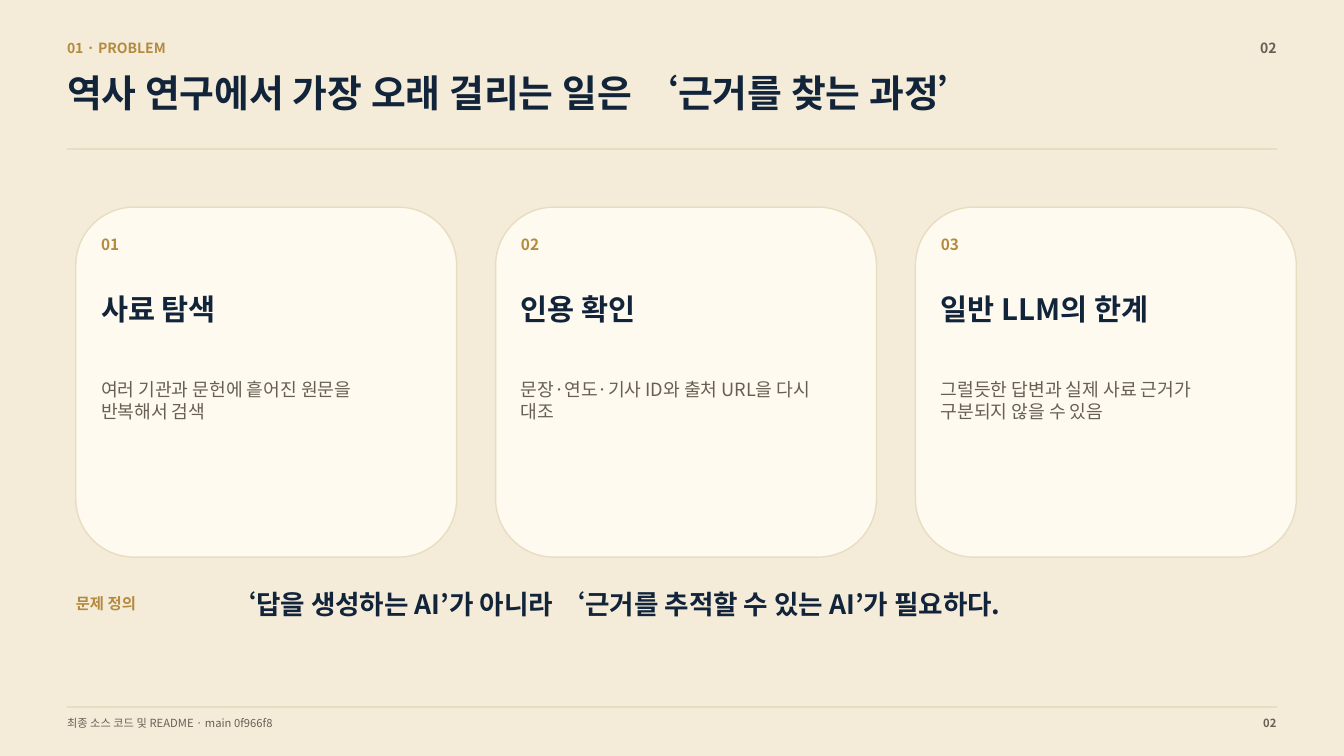
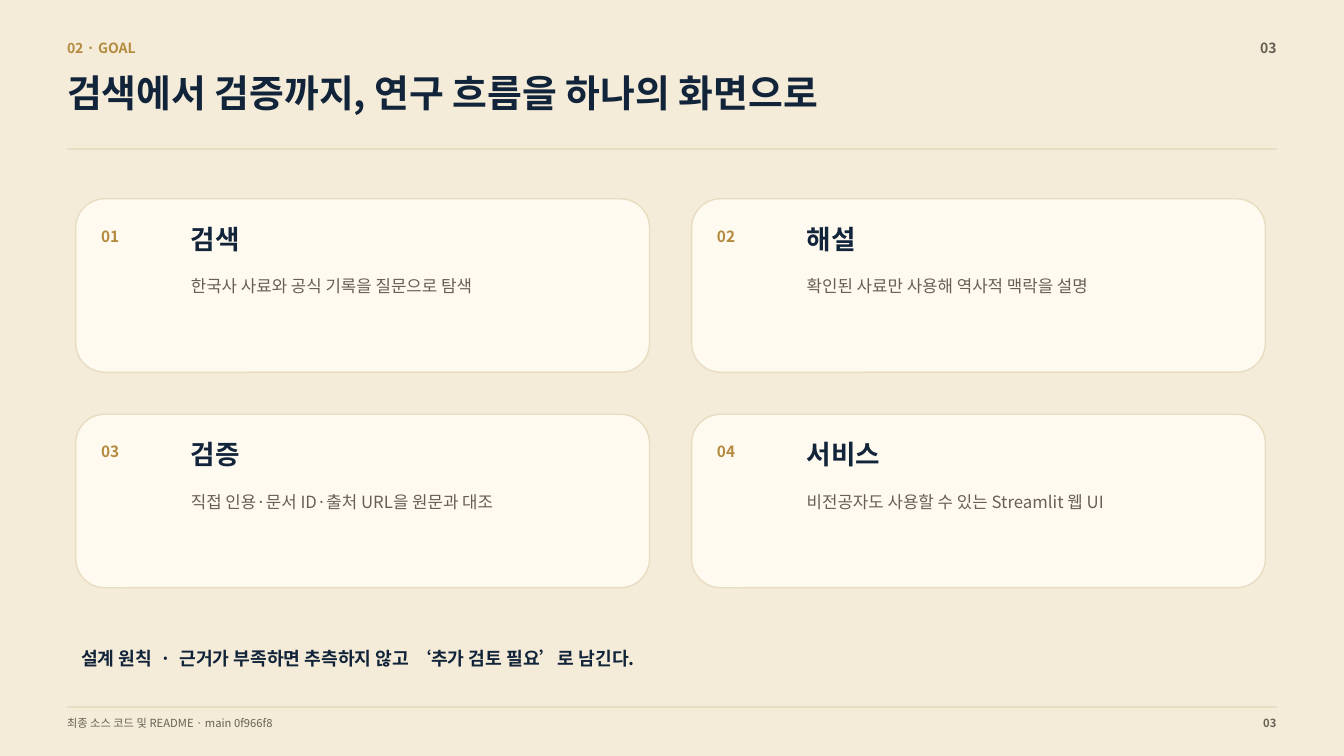
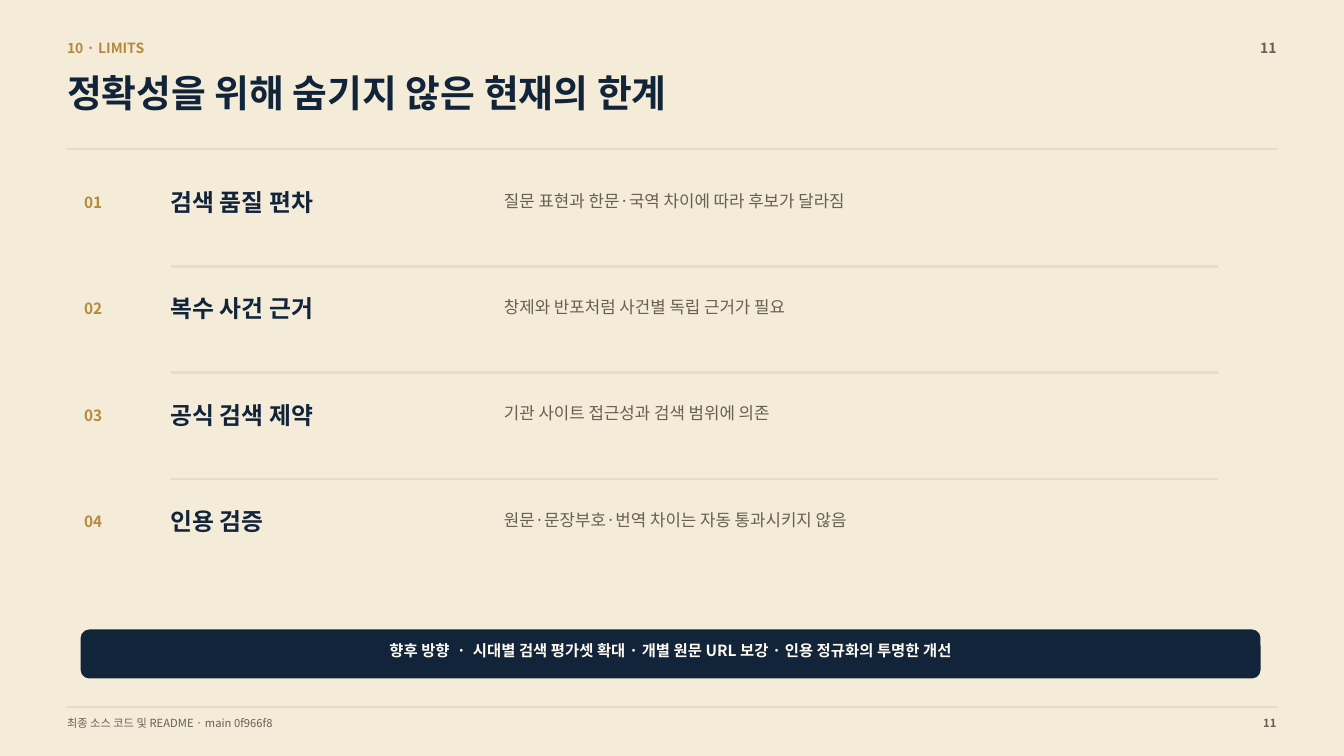
from lxml.etree import SubElement
from pptx import Presentation
from pptx.dml.color import RGBColor
from pptx.enum.shapes import MSO_CONNECTOR, MSO_SHAPE
from pptx.enum.text import PP_ALIGN
from pptx.oxml.ns import qn
from pptx.util import Cm, Pt

FONT = "Noto Sans CJK KR"
PAPER = RGBColor(0xF4, 0xEC, 0xD9)
IVORY = RGBColor(0xFF, 0xFA, 0xF0)
SAND = RGBColor(0xE8, 0xDC, 0xC1)
GOLD = RGBColor(0xB3, 0x8A, 0x3E)
NAVY = RGBColor(0x12, 0x24, 0x3A)
GRAY = RGBColor(0x67, 0x5F, 0x53)

MARGIN = 1.69
CONTENT_WIDTH = 30.48
CARD_LEFT = 1.91
CARD_INSET = 0.64
FOOTER = "최종 소스 코드 및 README · main 0f966f8"

PROBLEMS = [
    ("사료 탐색", "여러 기관과 문헌에 흩어진 원문을 반복해서 검색"),
    ("인용 확인", "문장·연도·기사 ID와 출처 URL을 다시 대조"),
    ("일반 LLM의 한계", "그럴듯한 답변과 실제 사료 근거가 구분되지 않을 수 있음"),
]
GOALS = [
    ("검색", "한국사 사료와 공식 기록을 질문으로 탐색"),
    ("해설", "확인된 사료만 사용해 역사적 맥락을 설명"),
    ("검증", "직접 인용·문서 ID·출처 URL을 원문과 대조"),
    ("서비스", "비전공자도 사용할 수 있는 Streamlit 웹 UI"),
]
LIMITS = [
    ("검색 품질 편차", "질문 표현과 한문·국역 차이에 따라 후보가 달라짐"),
    ("복수 사건 근거", "창제와 반포처럼 사건별 독립 근거가 필요"),
    ("공식 검색 제약", "기관 사이트 접근성과 검색 범위에 의존"),
    ("인용 검증", "원문·문장부호·번역 차이는 자동 통과시키지 않음"),
]


def add_text(slide, text, left, top, width, height, *, size, color=NAVY,
             bold=True, align=PP_ALIGN.LEFT):
    frame = slide.shapes.add_textbox(Cm(left), Cm(top), Cm(width), Cm(height)).text_frame
    frame.word_wrap = True
    frame.margin_left = frame.margin_right = frame.margin_top = frame.margin_bottom = 0
    paragraph = frame.paragraphs[0]
    paragraph.alignment = align
    run = paragraph.add_run()
    run.text = text
    run.font.name = FONT
    run.font.size = Pt(size)
    run.font.bold = bold
    run.font.color.rgb = color
    SubElement(run.font._element, qn("a:ea")).set("typeface", FONT)


def add_rule(slide, left, top, width):
    rule = slide.shapes.add_connector(
        MSO_CONNECTOR.STRAIGHT, Cm(left), Cm(top), Cm(left + width), Cm(top))
    rule.line.color.rgb = SAND
    rule.line.width = Pt(1.75)
    SubElement(rule._element.spPr, qn("a:effectLst"))


def add_panel(slide, left, top, width, height, fill=IVORY, outline=SAND):
    panel = slide.shapes.add_shape(
        MSO_SHAPE.ROUNDED_RECTANGLE, Cm(left), Cm(top), Cm(width), Cm(height))
    panel.shadow.inherit = False
    panel.fill.solid()
    panel.fill.fore_color.rgb = fill
    panel.line.color.rgb = outline
    panel.line.width = Pt(1)


def add_number(slide, number, left, top):
    add_text(slide, f"{number:02}", left, top, 1.55, 0.85, size=11, color=GOLD)


def add_page(prs, section, title, page):
    slide = prs.slides.add_slide(prs.slide_layouts[6])
    add_text(slide, section, MARGIN, 0.99, 11.29, 0.64, size=10, color=GOLD)
    add_text(slide, title, MARGIN, 1.76, 28.93, 1.63, size=27)
    add_text(slide, FOOTER, MARGIN, 18.06, 25.4, 0.49, size=8, color=GRAY, bold=False)
    for top, size in ((0.99, 10), (18.06, 8)):
        add_text(slide, page, 30.97, top, 1.2, 0.5, size=size, color=GRAY,
                 align=PP_ALIGN.RIGHT)
    for top in (3.75, 17.82):
        add_rule(slide, MARGIN, top, CONTENT_WIDTH)
    return slide


def add_problem_card(slide, index, heading, body):
    left, top = CARD_LEFT + index * 10.58, 5.22
    text_left = left + CARD_INSET
    add_panel(slide, left, top, 9.6, 8.82)
    add_number(slide, index + 1, text_left, top + 0.71)
    add_text(slide, heading, text_left, top + 2.12, 8.1, 1.2, size=21)
    add_text(slide, body, text_left, top + 4.31, 8.05, 2.75, size=13,
             color=GRAY, bold=False)


def add_goal_card(slide, index, heading, body):
    row, column = divmod(index, 2)
    left, top = CARD_LEFT + column * 15.52, 5.01 + row * 5.43
    text_left = left + 2.9
    add_panel(slide, left, top, 14.46, 4.37)
    add_number(slide, index + 1, left + CARD_INSET, top + 0.71)
    add_text(slide, heading, text_left, top + 0.6, 3.7, 1.06, size=19)
    add_text(slide, body, text_left, top + 1.95, 10.5, 1.7, size=12,
             color=GRAY, bold=False)


def add_limit_row(slide, index, heading, body):
    top = 4.73 + index * 2.68
    add_number(slide, index + 1, 2.12, top + 0.14)
    add_text(slide, heading, 4.3, top, 7.76, 1, size=17)
    add_text(slide, body, 12.7, top + 0.07, 18, 1.48, size=12, color=GRAY, bold=False)
    if index < len(LIMITS) - 1:
        add_rule(slide, 4.3, top + 1.98, 26.4)


def build_problem(prs):
    slide = add_page(prs, "01 · PROBLEM",
                     "역사 연구에서 가장 오래 걸리는 일은 ‘근거를 찾는 과정’", "02")
    for index, problem in enumerate(PROBLEMS):
        add_problem_card(slide, index, *problem)
    add_text(slide, "문제 정의", CARD_LEFT, 14.96, 3.53, 0.78, size=11, color=GOLD)
    add_text(slide, "‘답을 생성하는 AI’가 아니라 ‘근거를 추적할 수 있는 AI’가 필요하다.",
             5.79, 14.82, 25.4, 1.2, size=19)


def build_goal(prs):
    slide = add_page(prs, "02 · GOAL", "검색에서 검증까지, 연구 흐름을 하나의 화면으로", "03")
    for index, goal in enumerate(GOALS):
        add_goal_card(slide, index, *goal)
    add_text(slide, "설계 원칙  ·  근거가 부족하면 추측하지 않고 ‘추가 검토 필요’로 남긴다.",
             2.05, 16.3, 28.93, 0.85, size=13)


def build_limits(prs):
    slide = add_page(prs, "10 · LIMITS", "정확성을 위해 숨기지 않은 현재의 한계", "11")
    for index, limit in enumerate(LIMITS):
        add_limit_row(slide, index, *limit)
    add_panel(slide, 2.05, 15.88, 29.7, 1.2, fill=NAVY, outline=NAVY)
    add_text(slide,
             "향후 방향  ·  시대별 검색 평가셋 확대 · 개별 원문 URL 보강 · 인용 정규화의 투명한 개선",
             2.69, 16.16, 28.42, 0.71, size=11, color=IVORY, align=PP_ALIGN.CENTER)


def main():
    prs = Presentation()
    prs.slide_width, prs.slide_height = Cm(33.87), Cm(19.05)
    background = prs.slide_master.background.fill
    background.solid()
    background.fore_color.rgb = PAPER
    build_problem(prs)
    build_goal(prs)
    build_limits(prs)
    prs.save("out.pptx")


if __name__ == "__main__":
    main()
